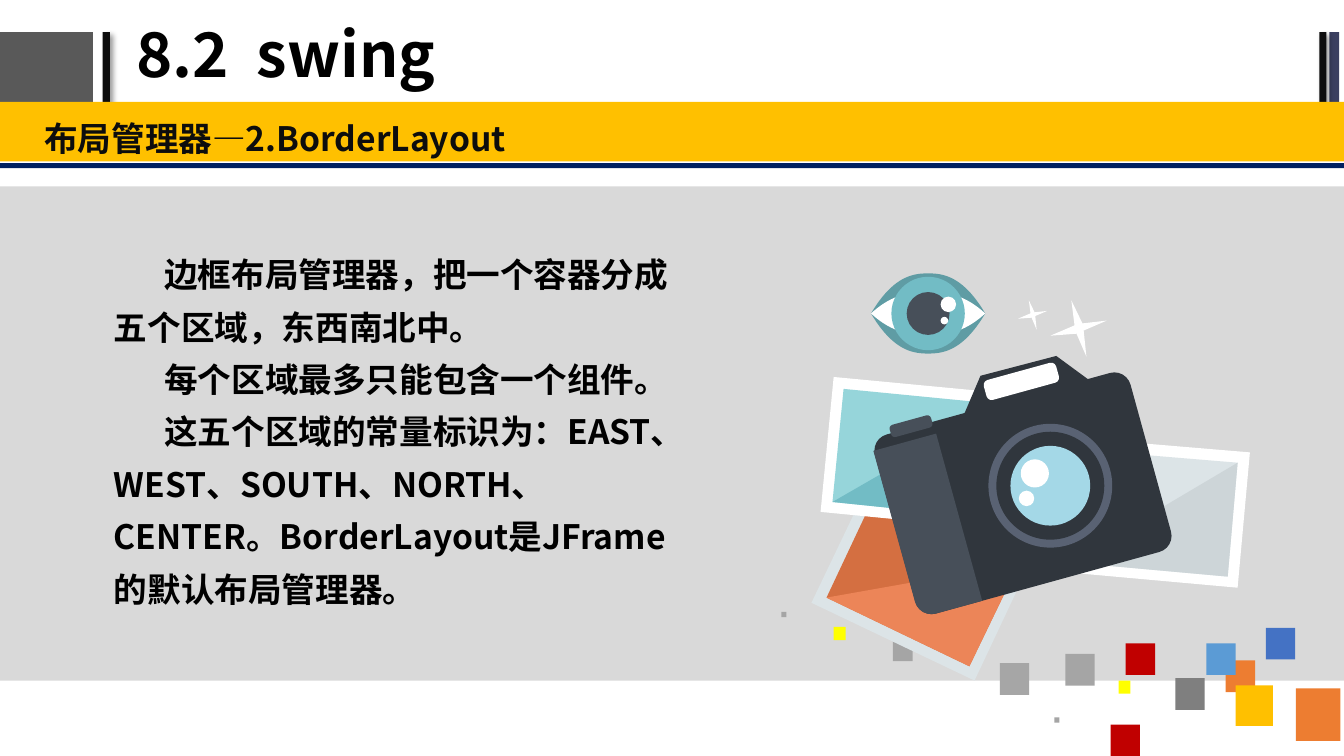
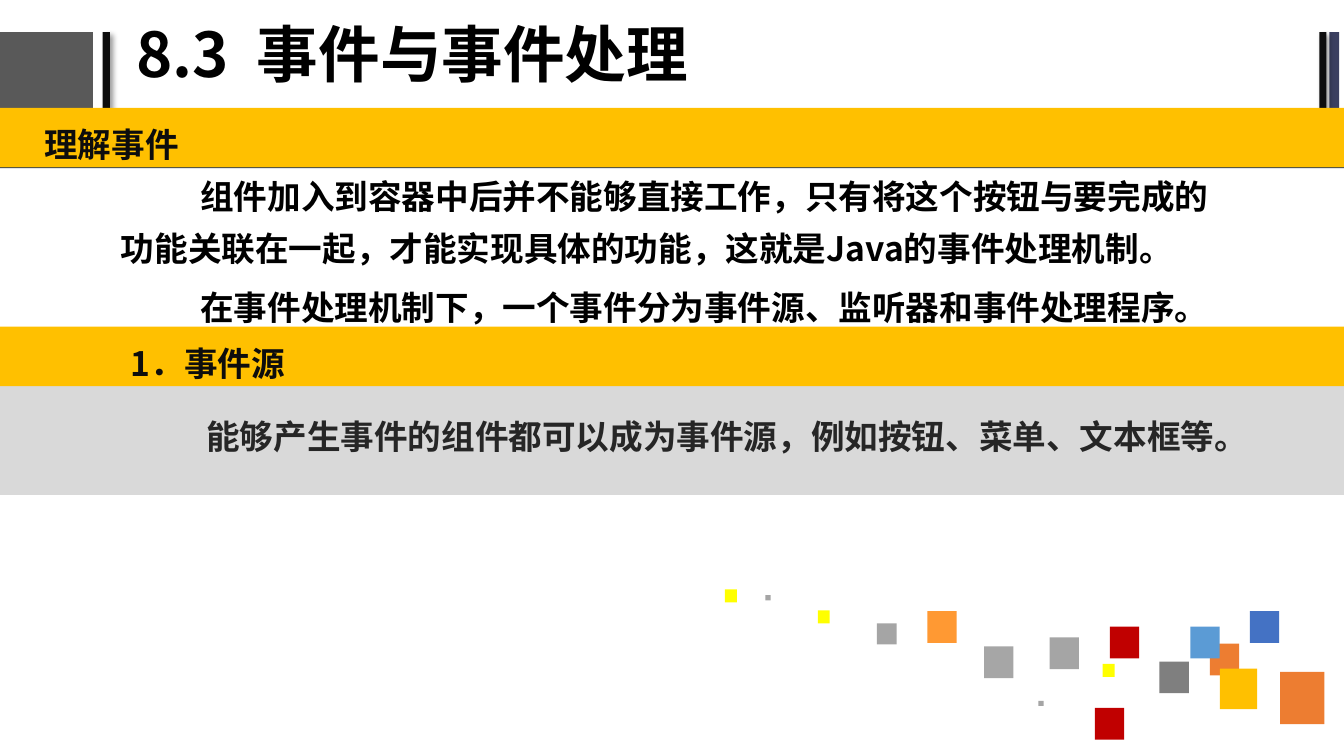
"""Builds two lesson slides on layout managers and event handling."""
from lxml import etree
from pptx import Presentation
from pptx import util as u
from pptx.dml.color import RGBColor
from pptx.enum import shapes, text
from pptx.oxml.ns import qn

FONT = "Noto Sans CJK SC"
BLACK, INK, BODY_INK = "000000", "0D0D0D", "262626"
YELLOW, NAVY, PANEL, WHITE = "FFC000", "002060", "D9D9D9", "FFFFFF"
DARK, SLATE, TEAL = "30363D", "474F59", "72BCC5"
WIDTH, HEIGHT = 33.87, 19.05
BAND_HEIGHT = 1.5
RECT, OVAL = shapes.MSO_SHAPE.RECTANGLE, shapes.MSO_SHAPE.OVAL
ROUND, ROUND_ONE = shapes.MSO_SHAPE.ROUNDED_RECTANGLE, shapes.MSO_SHAPE.ROUND_1_RECTANGLE

FRAME = {
    "word_wrap": True,
    "margin_left": u.Cm(0.33),
    "margin_right": u.Cm(0.33),
    "margin_top": u.Cm(0.18),
    "margin_bottom": u.Cm(0.18),
}
TITLE_FRAME = {
    "word_wrap": True,
    "vertical_anchor": text.MSO_ANCHOR.MIDDLE,
}


def paint(shape, colour):
    shape.shadow.inherit = False
    shape.fill.solid()
    shape.fill.fore_color.rgb = RGBColor.from_string(colour)
    shape.line.fill.background()
    return shape


def write(page, place, lines, colour, frame=FRAME, size=24, spacing=1.2, before=5, indent=0):
    box = page.shapes.add_textbox(*map(u.Cm, place)).text_frame
    for name, value in frame.items():
        setattr(box, name, value)
    for number, line in enumerate(lines):
        para = box.add_paragraph() if number else box.paragraphs[0]
        para.line_spacing = spacing
        para.space_before = u.Pt(before)
        para._p.get_or_add_pPr().set("indent", str(int(u.Cm(indent))))
        span = para.add_run()
        span.text = line
        for name, value in {"size": u.Pt(size), "bold": True, "name": FONT}.items():
            setattr(span.font, name, value)
        span.font.color.rgb = RGBColor.from_string(colour)
        etree.SubElement(span._r.rPr, qn("a:ea"), typeface=FONT)


header_marks = [
    (-0.05, 2.39, "595959", False),
    (2.59, 0.18, INK, True),
    (33.5, 0.25, "3B3F60", False),
    (33.25, 0.18, INK, True),
]

square_sizes = {
    "tiny": (0.13, 0.13),
    "small": (0.3, 0.33),
    "medium": (0.5, 0.53),
    "normal": (0.74, 0.8),
    "large": (0.94, 1.02),
    "huge": (1.12, 1.32),
}
squares = [
    (32.66, 17.35, "huge", "ED7D31"),
    (30.89, 16.64, "normal", "ED7D31"),
    (31.14, 17.27, "large", YELLOW),
    (30.4, 16.21, "normal", "5B9BD5"),
    (26.57, 18.08, "tiny", "A5A5A5"),
    (31.9, 15.82, "normal", "4472C4"),
    (28.19, 17.15, "small", "FFFF00"),
    (26.85, 16.48, "normal", "A5A5A5"),
    (28.37, 16.21, "normal", "C00000"),
    (29.62, 17.09, "normal", "7F7F7F"),
    (27.99, 18.26, "normal", "C00000"),
    (19.69, 15.42, "tiny", "A5A5A5"),
    (21.01, 15.8, "small", "FFFF00"),
    (22.5, 16.13, "medium", "A5A5A5"),
    (23.77, 15.82, "normal", "FF9933"),
    (25.2, 16.71, "normal", "A6A6A6"),
]

lessons = [
    {
        "title": "8.2  swing",
        "panel": (4.7, 12.45),
        "bands": [(2.57, 0.79, "布局管理器—2.BorderLayout")],
        "bodies": [
            {
                "place": (2.54, 5.92, 15.24, 8.05),
                "lines": [
                    "边框布局管理器，把一个容器分成五个区域，东西南北中。",
                    "每个区域最多只能包含一个组件。",
                    "这五个区域的常量标识为：EAST、WEST、SOUTH、NORTH、CENTER。"
                    "BorderLayout是JFrame的默认布局管理器。",
                ],
                "colour": BLACK,
                "spacing": 1.3,
                "before": 0,
                "indent": 1.27,
            },
        ],
        "squares": squares,
        "shift": (0, 0),
    },
    {
        "title": "8.3  事件与事件处理",
        "panel": (9.73, 2.74),
        "bands": [(2.72, 0.79, "理解事件"), (8.23, 2.97, "1．事件源")],
        "bodies": [
            {
                "place": (2.72, 3.94, 28.78, 3.07),
                "lines": [
                    "组件加入到容器中后并不能够直接工作，只有将这个按钮与要完成的功能关联在一起，"
                    "才能实现具体的功能，这就是Java的事件处理机制。",
                    "在事件处理机制下，一个事件分为事件源、监听器和事件处理程序。",
                ],
                "colour": BLACK,
                "spacing": 1.3,
                "indent": 2,
            },
            {
                "place": (2.87, 10.11, 28.83, 3.51),
                "lines": ["能够产生事件的组件都可以成为事件源，例如按钮、菜单、文本框等。"],
                "colour": BODY_INK,
                "indent": 2,
            },
        ],
        "squares": squares + [(18.67, 15.27, "small", "FFFF00")],
        "shift": (-0.4, -0.42),
    },
]

deck = Presentation()
deck.slide_width, deck.slide_height = u.Cm(WIDTH), u.Cm(HEIGHT)

for lesson in lessons:
    page = deck.slides.add_slide(deck.slide_layouts[6])
    blocks = [(left, 0.81, width, 1.93, colour, shaded) for left, width, colour, shaded in header_marks]
    panel_top, panel_height = lesson["panel"]
    blocks.append((0, panel_top, WIDTH, panel_height, PANEL, False))
    blocks.append((0, 4.11, WIDTH, 0.13, NAVY, False))
    blocks += [(0, top, WIDTH, BAND_HEIGHT, YELLOW, False) for top, _, _ in lesson["bands"]]
    shift_x, shift_y = lesson["shift"]
    for left, top, size, colour in lesson["squares"]:
        blocks.append((left + shift_x, top + shift_y, *square_sizes[size], colour, False))

    for *place, colour, shaded in blocks:
        block = paint(page.shapes.add_shape(RECT, *map(u.Cm, place)), colour)
        if shaded:
            effects = block._element.spPr.find(qn("a:effectLst"))
            shadow = etree.SubElement(
                effects, qn("a:outerShdw"), blurRad="50800", dist="38100", dir="2700000", algn="tl", rotWithShape="0"
            )
            shade = etree.SubElement(shadow, qn("a:srgbClr"), val=BLACK)
            etree.SubElement(shade, qn("a:alpha"), val="40000")

    write(page, (3.18, 0.05, 21.5, 2.8), [lesson["title"]], BLACK, TITLE_FRAME, 44, 0.9, 0)
    for top, left, heading in lesson["bands"]:
        write(page, (left, top + 0.03, WIDTH - left, BAND_HEIGHT), [heading], INK)
    for body in lesson["bodies"]:
        write(page, **body)

photos = [
    ("DCE4E7", [(20.45, 15.19), (21.92, 12.12), (26.01, 14.07), (24.56, 17.15)],
     "D46F41", [(20.83, 15.06), (22.05, 12.47), (25.68, 14.2), (24.43, 16.79)], "EC8558"),
    (WHITE, [(26.64, 14.4), (26.97, 11.02), (31.5, 11.4), (31.19, 14.81)],
     "DCE4E7", [(26.95, 14.17), (27.2, 11.33), (31.19, 11.66), (30.94, 14.53)], "CDD5D8"),
    (WHITE, [(20.68, 12.9), (21.01, 9.5), (25.55, 9.93), (25.2, 13.34)],
     "96D5DA", [(20.98, 12.65), (21.26, 9.8), (25.25, 10.19), (24.97, 13.06)], TEAL),
]
outlines = []
for rim_colour, rim, print_colour, corners, shade_colour in photos:
    outlines += [(rim_colour, rim), (print_colour, corners), (shade_colour, [corners[0], *corners[2:]])]

outlines.append((DARK, [(27.41, 9.55), (26.62, 8.97), (24.71, 9.47), (24.31, 10.41), (24.4, 10.8), (27.5, 9.9)]))

sparkle = [(0, 0), (0.08, 0.63), (-0.53, 0.89), (0.13, 0.84), (0.38, 1.42), (0.31, 0.76), (0.89, 0.51), (0.28, 0.58)]
for left, scale in [(27, 1), (25.93, 0.52)]:
    outlines.append((WHITE, [(left + x * scale, 7.57 + y * scale) for x, y in sparkle]))

eye_x, eye_y, eye_reach = 23.39, 7.9, 1.44
steps = [step / 20 for step in range(-20, 21)]
for colour, rise in [("5F9CA4", 1.01), (WHITE, 0.55)]:
    upper = [(eye_x + eye_reach * x, eye_y - rise * (1 - abs(x) ** 2.4)) for x in steps]
    lower = [(x, 2 * eye_y - y) for x, y in reversed(upper[1:-1])]
    outlines.append((colour, upper + lower))

tilt = -15.4
lens = (26.47, 12.24)
parts = [
    (ROUND, 25.78, 12.43, 6.68, 4.68, tilt, 0.09, DARK),
    (ROUND_ONE, 23.38, 13.25, 1.64, 4.37, 180 + tilt, 0.26, SLATE),
    (ROUND, 22.96, 10.74, 1.08, 0.32, tilt, 0.3, SLATE),
    (ROUND, 25.74, 9.61, 1.89, 0.52, tilt, 0.25, WHITE),
]
discs = [
    (*lens, 3.12, "596273"),
    (*lens, 2.72, DARK),
    (*lens, 2.01, "A4D8E7"),
    (26.08, 11.93, 0.71, WHITE),
    (25.87, 12.56, 0.39, WHITE),
    (eye_x, eye_y, 1.85, TEAL),
    (eye_x, eye_y, 1.08, SLATE),
    (23.9, 7.67, 0.39, WHITE),
    (23.8, 8.08, 0.19, WHITE),
]
parts += [(OVAL, x, y, size, size, 0, None, colour) for x, y, size, colour in discs]

camera = deck.slides[0].shapes.add_group_shape().shapes
for colour, corners in outlines:
    points = [(u.Cm(x), u.Cm(y)) for x, y in corners]
    builder = camera.build_freeform(*points[0])
    builder.add_line_segments(points[1:], close=True)
    paint(builder.convert_to_shape(), colour)
for kind, x, y, width, height, turn, rounding, colour in parts:
    place = (x - width / 2, y - height / 2, width, height)
    part = paint(camera.add_shape(kind, *map(u.Cm, place)), colour)
    part.rotation = turn
    if rounding:
        part.adjustments[0] = rounding

deck.save("out.pptx")
